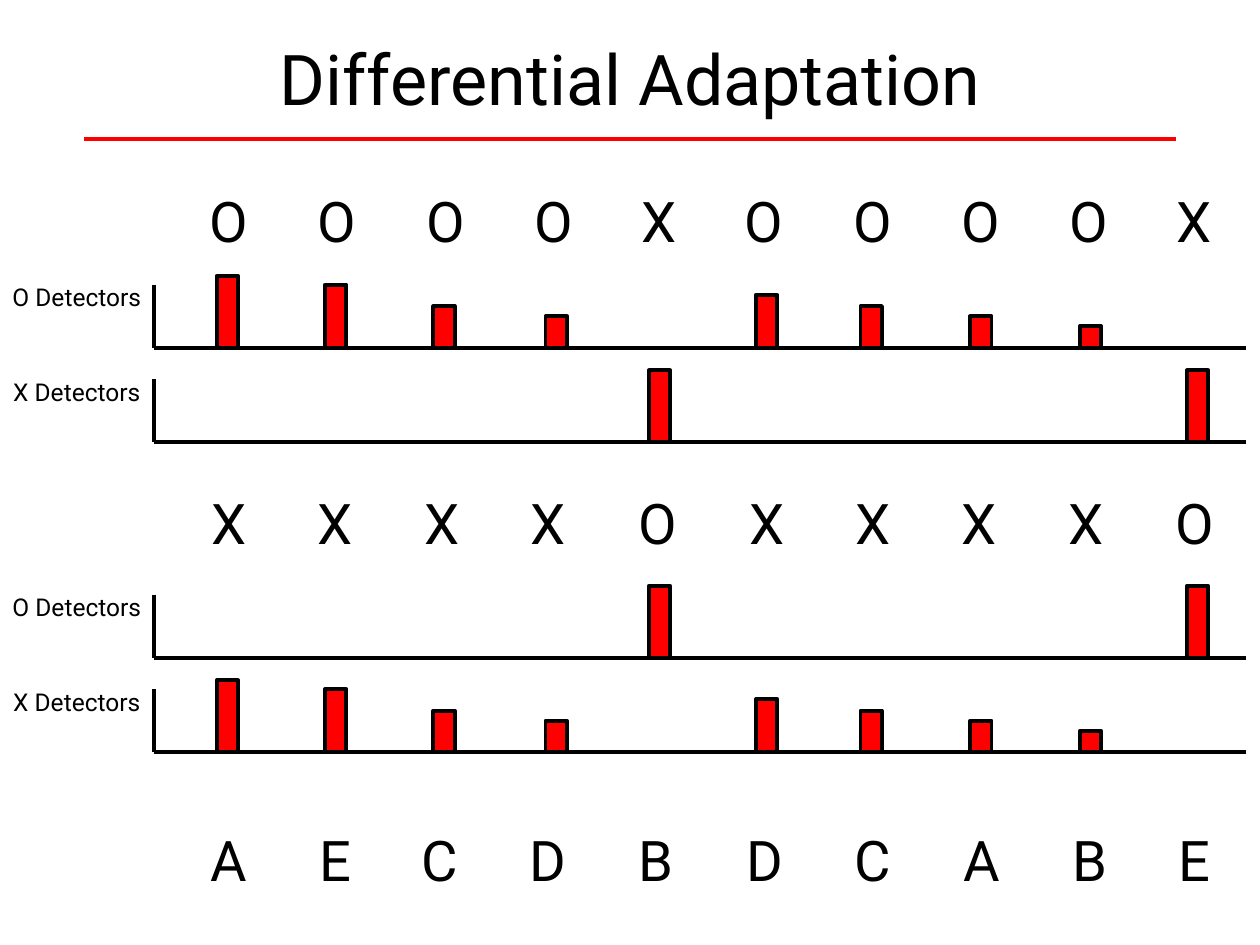
from lxml import etree
from pptx import Presentation
from pptx.dml.color import RGBColor
from pptx.enum import shapes, text
from pptx.oxml.ns import qn
from pptx.util import Inches, Pt

# Content
TITLE = "Differential Adaptation"
# letters, top, left edge of first box, right edge of last box
LETTER_ROWS = [
    ("OOOOXOOOOX", 1.43, 1.55, 9.72),
    ("XXXXOXXXXO", 3.83, 1.58, 9.75),
    ("AECDBDCABE", 6.5, 1.55, 9.71),
]
LETTER_WIDTHS = {"O": 0.53, "X": 0.48, "A": 0.53, "B": 0.49,
                 "C": 0.49, "D": 0.52, "E": 0.46}
# (left, height) of each response bar
ADAPTING = [(1.72, 0.57), (2.58, 0.5), (3.44, 0.33), (4.33, 0.25),
            (6, 0.42), (6.83, 0.33), (7.7, 0.25), (8.57, 0.17)]
FRESH = [(5.15, 0.57), (9.42, 0.57)]
# label, baseline, bars
PLOTS = [
    ("O Detectors", 2.76, ADAPTING),
    ("X Detectors", 3.51, FRESH),
    ("O Detectors", 5.22, FRESH),
    ("X Detectors", 5.97, ADAPTING),
]

# Format
COLORS = {"ink": "000000", "red": "FF0000"}
FONT = "Roboto"
LINE_WIDTH = 2.25
AXIS_LEFT, AXIS_RIGHT, AXIS_HEIGHT = 1.22, 9.89, 0.5
BAR_WIDTH, LABEL_HEIGHT, LETTER_HEIGHT = 0.17, 0.57, 0.64


def color(name):
    return RGBColor.from_string(COLORS[name])


def write(frame, words, size, wrap=True):
    frame.word_wrap = wrap
    para = frame.paragraphs[0]
    para.alignment = text.PP_ALIGN.CENTER
    span = para.add_run()
    span.text = words
    span.font.name = FONT
    span.font.size = Pt(size)
    span.font.color.rgb = color("ink")


def add_text(words, left, top, width, height, size, wrap=True):
    box = page.shapes.add_textbox(Inches(left), Inches(top),
                                  Inches(width), Inches(height))
    write(box.text_frame, words, size, wrap)
    box.text_frame.auto_size = text.MSO_AUTO_SIZE.SHAPE_TO_FIT_TEXT


def add_line(parent, x1, y1, x2, y2, name="ink"):
    line = parent.shapes.add_connector(
        shapes.MSO_CONNECTOR.STRAIGHT,
        Inches(x1), Inches(y1), Inches(x2), Inches(y2))
    line.line.color.rgb = color(name)
    line.line.width = Pt(LINE_WIDTH)
    etree.SubElement(line._element.spPr, qn("a:effectLst"))


def add_bar(left, height, baseline):
    bar = page.shapes.add_shape(
        shapes.MSO_SHAPE.RECTANGLE, Inches(left), Inches(baseline - height),
        Inches(BAR_WIDTH), Inches(height))
    bar.shadow.inherit = False
    bar.fill.solid()
    bar.fill.fore_color.rgb = color("red")
    bar.line.color.rgb = color("ink")
    bar.line.width = Pt(LINE_WIDTH)


deck = Presentation()
deck.slide_width, deck.slide_height = Inches(10), Inches(7.5)
page = deck.slides.add_slide(deck.slide_layouts[5])

# Title and its rule
title = page.shapes.title
title.left, title.top = Inches(0.5), Inches(-0.01)
title.width, title.height = Inches(9), Inches(1.25)
title.text_frame.vertical_anchor = text.MSO_ANCHOR.MIDDLE
write(title.text_frame, TITLE, 40)
add_line(page, 9.33, 1.1, 0.67, 1.1, "red")

# Letter rows, with equal gaps between boxes
for letters, top, left, right in LETTER_ROWS:
    widths = [LETTER_WIDTHS[letter] for letter in letters]
    gap = (right - left - sum(widths)) / (len(letters) - 1)
    for letter, width in zip(letters, widths):
        add_text(letter, left, top, width, LETTER_HEIGHT, 32, wrap=False)
        left += width + gap

# Detector plots: axes, label and bars
for label, baseline, bars in PLOTS:
    axes = page.shapes.add_group_shape()
    add_line(axes, AXIS_LEFT, baseline - AXIS_HEIGHT, AXIS_LEFT, baseline)
    add_line(axes, AXIS_RIGHT, baseline, AXIS_LEFT, baseline)
    add_text(label, 0, baseline - LABEL_HEIGHT, AXIS_LEFT, LABEL_HEIGHT, 14)
    for left, height in bars:
        add_bar(left, height, baseline)

deck.save("out.pptx")
